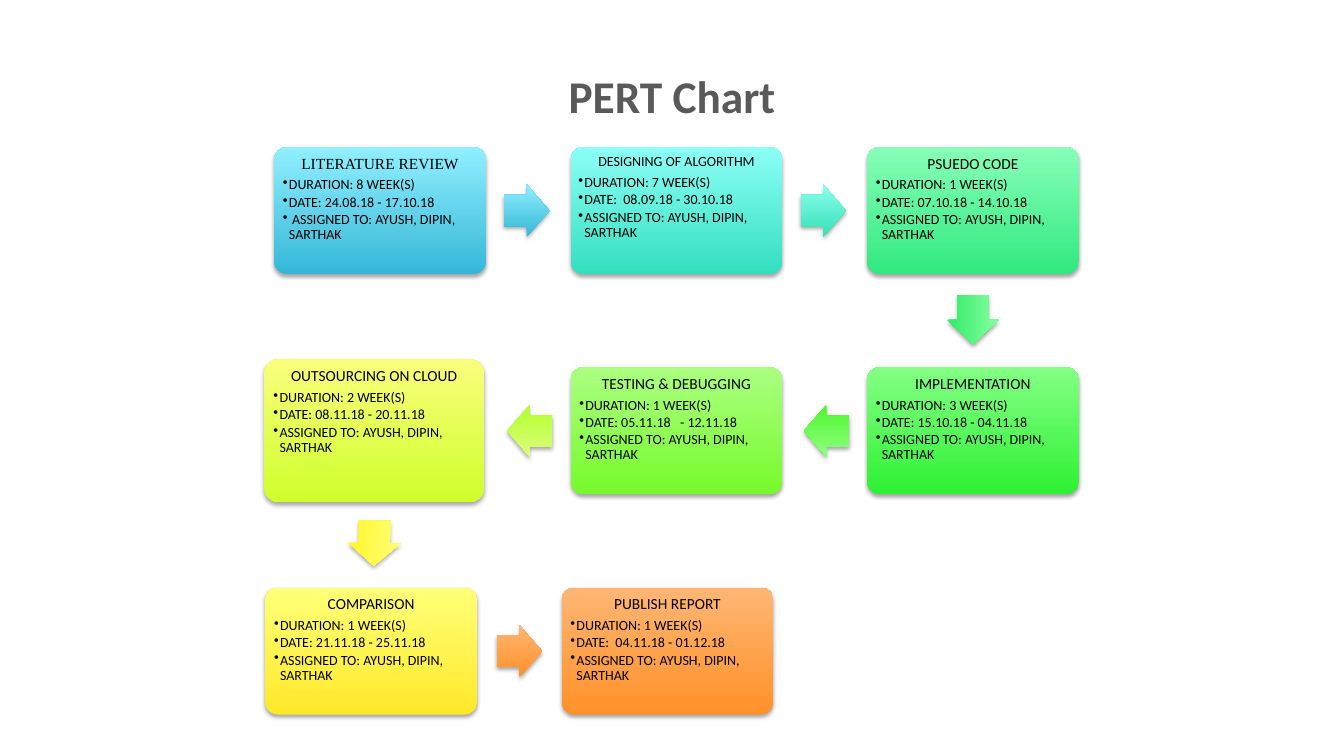
from dataclasses import dataclass

import lxml.etree
import pptx
import pptx.dml.color
import pptx.enum.shapes
import pptx.enum.text
import pptx.oxml.ns
import pptx.presentation
import pptx.shapes.autoshape
import pptx.slide
import pptx.text.text
import pptx.util


@dataclass(frozen=True)
class Theme:
    font: str = "Calibri"
    serif: str = "Times New Roman"
    title_color: str = "595959"
    text_color: str = "000000"
    title_size: float = 32.4
    heading_size: float = 11
    detail_size: float = 10
    line_spacing: float = 0.9
    heading_gap: float = 3.9
    detail_gap: float = 1.5


@dataclass(frozen=True)
class Grid:
    first_column: float = 3.77
    first_row: float = 2.09
    column_pitch: float = 2.94
    row_pitch: float = 2.185

    def center(self, column: float, row: float) -> tuple[float, float]:
        return (self.first_column + column * self.column_pitch,
                self.first_row + row * self.row_pitch)


@dataclass(frozen=True)
class Task:
    column: float
    row: float
    heading: str
    weeks: int
    dates: str
    dark: str
    light: str
    width: float = 2.1
    height: float = 1.26
    heading_size: float = 11
    heading_font: str = "Calibri"
    inset: float = 0.05
    assigned: str = "ASSIGNED TO: AYUSH, DIPIN, SARTHAK"


@dataclass(frozen=True)
class Arrow:
    column: float
    row: float
    rotation: float
    dark: str
    light: str
    width: float = 0.45
    height: float = 0.52


THEME = Theme()
GRID = Grid()
SLIDE_WIDTH, SLIDE_HEIGHT = 13.33, 7.5

TASKS = [
    Task(0, 0, "LITERATURE REVIEW", 8, "DATE: 24.08.18 - 17.10.18", "36B7D7", "90EFFF",
         heading_font=THEME.serif, assigned=" ASSIGNED TO: AYUSH, DIPIN, SARTHAK"),
    Task(1, 0, "DESIGNING OF ALGORITHM", 7, "DATE:  08.09.18 - 30.10.18", "34DFC0", "8CFFF6",
         heading_size=THEME.detail_size, inset=0.04),
    Task(2, 0, "PSUEDO CODE", 1, "DATE: 07.10.18 - 14.10.18", "31E97F", "87FFB8"),
    Task(2, 1, "IMPLEMENTATION", 3, "DATE: 15.10.18 - 04.11.18", "2EF133", "84FF84"),
    Task(1, 1, "TESTING & DEBUGGING", 1, "DATE: 05.11.18\t- 12.11.18", "77FA2C", "AAFF80"),
    Task(-0.02, 1, "OUTSOURCING ON CLOUD", 2, "DATE: 08.11.18 - 20.11.18", "CEFF2C", "FAFF7C",
         width=2.18, height=1.42),
    Task(-0.03, 2, "COMPARISON", 1, "DATE: 21.11.18 - 25.11.18", "FFE82A", "FFFF78"),
    Task(0.97, 2, "PUBLISH REPORT", 1, "DATE:  04.11.18 - 01.12.18", "FF9129", "FFB673"),
]

ARROWS = [
    Arrow(0.495, 0, 0, "36B7D7", "90EFFF"),
    Arrow(1.495, 0, 0, "34E0B7", "8BFFED"),
    Arrow(2, 0.495, 90, "31EB66", "86FFA2", width=0.49),
    Arrow(1.505, 1, 180, "4FF62D", "8FFF81"),
    Arrow(0.505, 1, 180, "B1FF2C", "DCFF7E"),
    Arrow(-0.02, 1.51, 91.1, "FFF62A", "FFFF78"),
    Arrow(0.47, 2, 0, "FF9129", "FFB673"),
]


def rgb(color: str) -> pptx.dml.color.RGBColor:
    return pptx.dml.color.RGBColor.from_string(color)


def add_child(parent, tag: str, **attributes: str):
    return lxml.etree.SubElement(parent, pptx.oxml.ns.qn(tag), attributes)


def set_font(paragraph: pptx.text.text._Paragraph, name: str, size: float, color: str,
             bold: bool = False) -> None:
    paragraph.font.name = name
    paragraph.font.size = pptx.util.Pt(size)
    paragraph.font.bold = bold
    paragraph.font.color.rgb = rgb(color)


def add_block(slide: pptx.slide.Slide, kind: pptx.enum.shapes.MSO_SHAPE,
              block: Task | Arrow) -> pptx.shapes.autoshape.Shape:
    center_x, center_y = GRID.center(block.column, block.row)
    shape = slide.shapes.add_shape(
        kind,
        pptx.util.Inches(center_x - block.width / 2),
        pptx.util.Inches(center_y - block.height / 2),
        pptx.util.Inches(block.width),
        pptx.util.Inches(block.height))
    shape.line.fill.background()
    shape.fill.gradient()
    shape.fill.gradient_angle = 90
    for stop, color in zip(shape.fill.gradient_stops, (block.dark, block.light)):
        stop.color.rgb = rgb(color)
    shape.shadow.inherit = False
    effects = shape._element.spPr.find(pptx.oxml.ns.qn("a:effectLst"))
    shadow = add_child(effects, "a:outerShdw", blurRad="40000", dist="23000",
                       dir="5400000", rotWithShape="0")
    add_child(add_child(shadow, "a:srgbClr", val="000000"), "a:alpha", val="35000")
    return shape


def add_bullet(paragraph: pptx.text.text._Paragraph) -> None:
    paragraph.level = 1
    properties = paragraph._p.get_or_add_pPr()
    indent = pptx.util.Inches(0.06)
    properties.set("marL", str(indent))
    properties.set("indent", str(-indent))
    add_child(add_child(properties, "a:buClr"), "a:srgbClr", val=THEME.text_color)
    add_child(properties, "a:buChar", char="•")


def add_task(slide: pptx.slide.Slide, task: Task) -> None:
    shape = add_block(slide, pptx.enum.shapes.MSO_SHAPE.ROUNDED_RECTANGLE, task)
    shape.adjustments[0] = 0.1
    frame = shape.text_frame
    frame.word_wrap = True
    frame.vertical_anchor = pptx.enum.text.MSO_ANCHOR.TOP
    inset = pptx.util.Inches(task.inset)
    frame.margin_left = frame.margin_right = frame.margin_top = frame.margin_bottom = inset
    heading = frame.paragraphs[0]
    heading.text = task.heading
    heading.alignment = pptx.enum.text.PP_ALIGN.CENTER
    heading.line_spacing = THEME.line_spacing
    set_font(heading, task.heading_font, task.heading_size, THEME.text_color)
    details = (f"DURATION: {task.weeks} WEEK(S)", task.dates, task.assigned)
    for position, detail in enumerate(details):
        paragraph = frame.add_paragraph()
        paragraph.text = detail
        paragraph.alignment = pptx.enum.text.PP_ALIGN.LEFT
        paragraph.line_spacing = THEME.line_spacing
        paragraph.space_before = pptx.util.Pt(
            THEME.detail_gap if position else THEME.heading_gap)
        add_bullet(paragraph)
        set_font(paragraph, THEME.font, THEME.detail_size, THEME.text_color)


def add_arrow(slide: pptx.slide.Slide, arrow: Arrow) -> None:
    shape = add_block(slide, pptx.enum.shapes.MSO_SHAPE.RIGHT_ARROW, arrow)
    shape.adjustments[0] = 0.6
    shape.adjustments[1] = 0.5
    shape.rotation = arrow.rotation


def add_title(slide: pptx.slide.Slide, presentation: pptx.presentation.Presentation) -> None:
    box = slide.shapes.add_textbox(
        0, int(presentation.slide_height * 0.084),
        presentation.slide_width, int(presentation.slide_height * 0.083))
    frame = box.text_frame
    frame.word_wrap = True
    frame.vertical_anchor = pptx.enum.text.MSO_ANCHOR.MIDDLE
    paragraph = frame.paragraphs[0]
    paragraph.text = "PERT Chart"
    paragraph.alignment = pptx.enum.text.PP_ALIGN.CENTER
    set_font(paragraph, THEME.font, THEME.title_size, THEME.title_color, bold=True)


def main() -> None:
    presentation = pptx.Presentation()
    presentation.slide_width = pptx.util.Inches(SLIDE_WIDTH)
    presentation.slide_height = pptx.util.Inches(SLIDE_HEIGHT)
    slide = presentation.slides.add_slide(presentation.slide_layouts[6])
    add_title(slide, presentation)
    for task in TASKS:
        add_task(slide, task)
    for arrow in ARROWS:
        add_arrow(slide, arrow)
    presentation.save("out.pptx")


if __name__ == "__main__":
    main()
